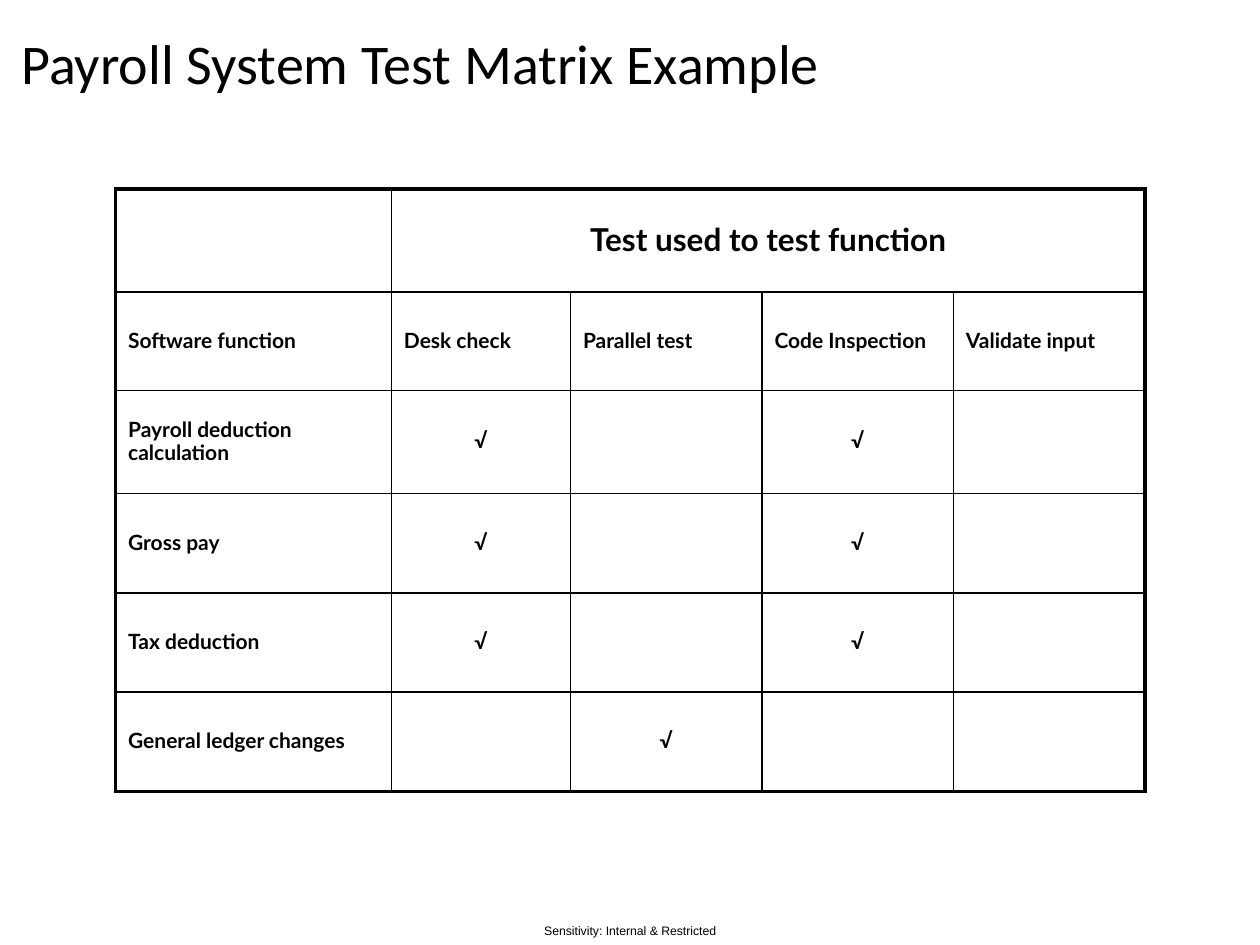
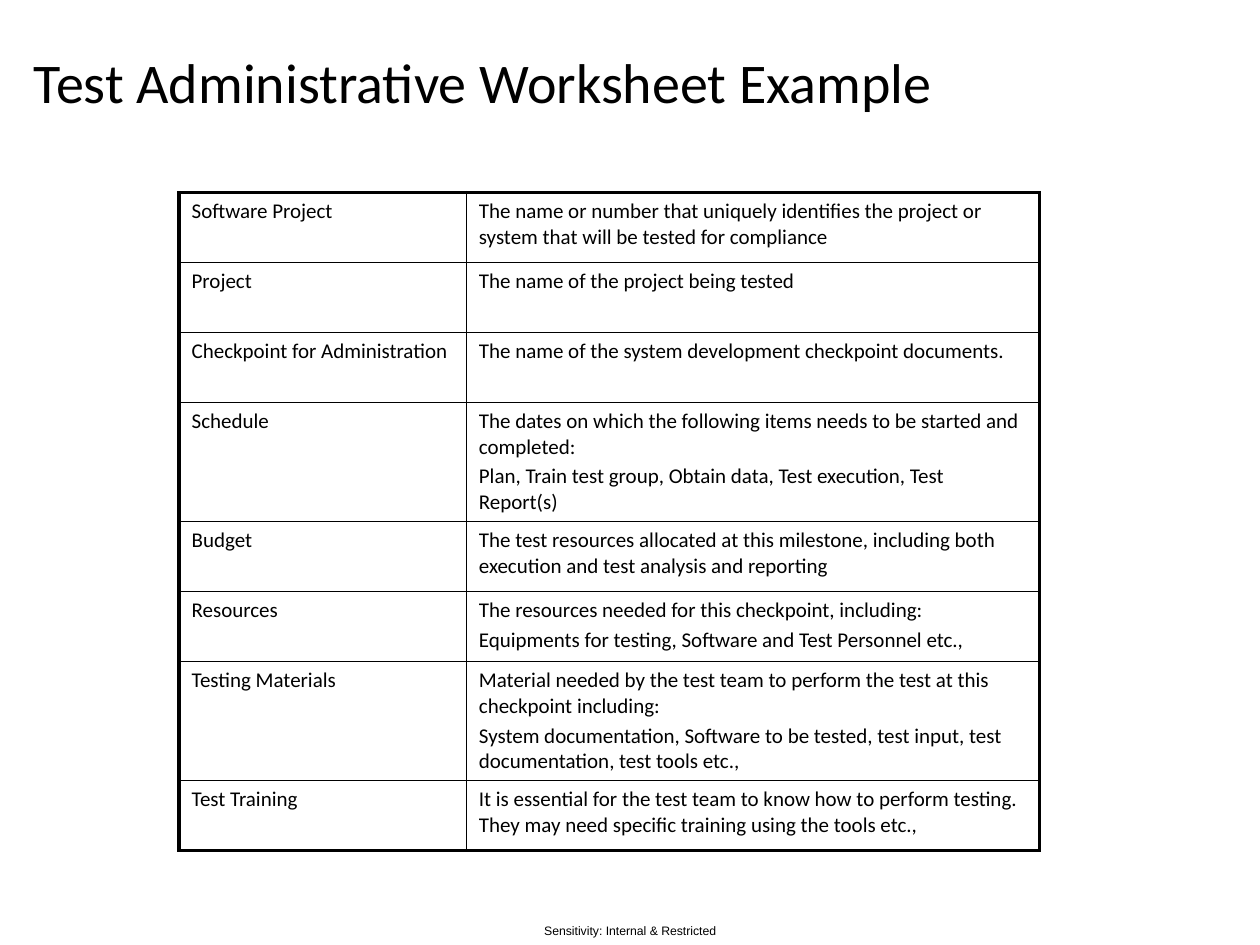
from lxml.etree import SubElement
from pptx import Presentation
from pptx.dml.color import RGBColor
from pptx.enum.text import MSO_ANCHOR, MSO_AUTO_SIZE, PP_ALIGN
from pptx.oxml import parse_xml
from pptx.oxml.ns import nsdecls, qn
from pptx.util import Cm, Pt

BLACK = "000000"
THIN, THICK = 1, 2.25
FOOTER = "Sensitivity: Internal & Restricted"
CHECK = "√"

MATRIX = {
    "title": "Payroll System Test Matrix Example",
    "title_box": (0.43, 0.43, 21.39, 1.9),
    "title_inset": (0, 0),
    "title_anchor": MSO_ANCHOR.MIDDLE,
    "table_origin": (2.33, 3.81),
    "columns": [5.56, 3.61, 3.86, 3.86, 3.86],
    "row_heights": [2.08, 1.98, 2.08, 2, 2, 2],
    "rows": [
        ["", "Test used to test function", "", "", ""],
        ["Software function", "Desk check", "Parallel test", "Code Inspection", "Validate input"],
        ["Payroll deduction calculation", CHECK, "", CHECK, ""],
        ["Gross pay", CHECK, "", CHECK, ""],
        ["Tax deduction", CHECK, "", CHECK, ""],
        ["General ledger changes", "", CHECK, "", ""],
    ],
    "header_span": (1, 4),
    "font": "Lato",
    "bold": True,
    "line_spacing": 0.92,
    "anchor": MSO_ANCHOR.MIDDLE,
}

WORKSHEET = {
    "title": "Test Administrative Worksheet Example",
    "title_box": (0.43, 1.07, 24.5, 1.37),
    "title_inset": (0.25, 0.13),
    "title_anchor": MSO_ANCHOR.TOP,
    "table_origin": (3.61, 3.88),
    "columns": [5.79, 11.56],
    "row_heights": [1.41, 1.41, 1.41, 2.38, 1.41, 1.41, 2.38, 1.41],
    "rows": [
        ["Software Project", "The name or number that uniquely identifies the project or system that will be tested for compliance"],
        ["Project", "The name of the project being tested"],
        ["Checkpoint for Administration", "The name of the system development checkpoint documents."],
        ["Schedule", "The dates on which the following items needs to be started and completed:\n"
                     "Plan, Train test group, Obtain data, Test execution, Test Report(s)"],
        ["Budget", "The test resources allocated at this milestone, including both execution and test analysis and reporting"],
        ["Resources", "The resources needed for this checkpoint, including:\n"
                      "Equipments for testing, Software and Test Personnel etc.,"],
        ["Testing Materials", "Material needed by the test team to perform the test at this checkpoint including:\n"
                              "System documentation, Software to be tested, test input, test documentation, test tools etc.,"],
        ["Test Training", "It is essential for the test team to know how to perform testing. "
                          "They may need specific training using the tools etc.,"],
    ],
    "header_span": None,
    "font": "Calibri",
    "bold": False,
    "line_spacing": 1.0,
    "anchor": MSO_ANCHOR.TOP,
}


def color(value):
    return RGBColor.from_string(value)


def style_paragraph(paragraph, font, size, bold=False, alignment=PP_ALIGN.LEFT):
    paragraph.alignment = alignment
    paragraph.font.name = font
    paragraph.font.size = Pt(size)
    paragraph.font.bold = bold
    paragraph.font.color.rgb = color(BLACK)


def set_insets(frame, horizontal, vertical):
    frame.margin_left = frame.margin_right = Cm(horizontal)
    frame.margin_top = frame.margin_bottom = Cm(vertical)


def add_title(slide, content):
    title = slide.shapes.title
    title.left, title.top, title.width, title.height = map(Cm, content["title_box"])
    frame = title.text_frame
    frame.text = content["title"]
    frame.auto_size = MSO_AUTO_SIZE.NONE
    frame.vertical_anchor = content["title_anchor"]
    set_insets(frame, *content["title_inset"])
    style_paragraph(frame.paragraphs[0], "Calibri", 32)
    frame.paragraphs[0].line_spacing = 0.82


def add_footer(slide):
    box = slide.shapes.add_textbox(Cm(10.62), Cm(18.49), Cm(4.17), Cm(0.56))
    frame = box.text_frame
    frame.word_wrap = True
    frame.vertical_anchor = MSO_ANCHOR.MIDDLE
    set_insets(frame, 0, 0)
    frame.text = FOOTER
    style_paragraph(frame.paragraphs[0], "Arial", 7, alignment=PP_ALIGN.CENTER)


def set_borders(cell, outer_sides):
    properties = cell._tc.get_or_add_tcPr()
    for position, side in enumerate("LRTB"):
        width = Pt(THICK if outer_sides[side] else THIN)
        line = parse_xml(f'<a:ln{side} {nsdecls("a")} w="{width}"/>')
        fill = SubElement(line, qn("a:solidFill"))
        SubElement(fill, qn("a:srgbClr"), val=BLACK)
        properties.insert(position, line)


def fill_cell(cell, text, content, is_header):
    cell.fill.background()
    cell.vertical_anchor = content["anchor"]
    if not text:
        return
    cell.text = text
    centred = is_header or text == CHECK
    size = 18 if is_header else 12
    for index, paragraph in enumerate(cell.text_frame.paragraphs):
        style_paragraph(paragraph, content["font"], size, content["bold"],
                        PP_ALIGN.CENTER if centred else PP_ALIGN.LEFT)
        paragraph.line_spacing = content["line_spacing"]
        if index:
            paragraph.space_before = Pt(size * 0.2)


def add_grid(slide, content):
    rows, columns, heights = content["rows"], content["columns"], content["row_heights"]
    left, top = content["table_origin"]
    frame = slide.shapes.add_table(len(rows), len(columns), Cm(left), Cm(top),
                                   Cm(sum(columns)), Cm(sum(heights)))
    table = frame.table
    table.first_row = table.horz_banding = False
    for column, width in zip(table.columns, columns):
        column.width = Cm(width)
    for row, height in zip(table.rows, heights):
        row.height = Cm(height)
    if content["header_span"]:
        first, last = content["header_span"]
        table.cell(0, first).merge(table.cell(0, last))
    for row_index, row in enumerate(rows):
        for column_index, text in enumerate(row):
            cell = table.cell(row_index, column_index)
            fill_cell(cell, text, content, cell.is_merge_origin)
            set_borders(cell, {
                "L": column_index == 0,
                "R": column_index + cell.span_width == len(columns),
                "T": row_index == 0,
                "B": row_index == len(rows) - 1,
            })


def main():
    presentation = Presentation()
    presentation.slide_width, presentation.slide_height = Cm(25.4), Cm(19.05)
    for content in (MATRIX, WORKSHEET):
        slide = presentation.slides.add_slide(presentation.slide_layouts[5])
        add_title(slide, content)
        add_grid(slide, content)
        add_footer(slide)
    presentation.save("out.pptx")


if __name__ == "__main__":
    main()
